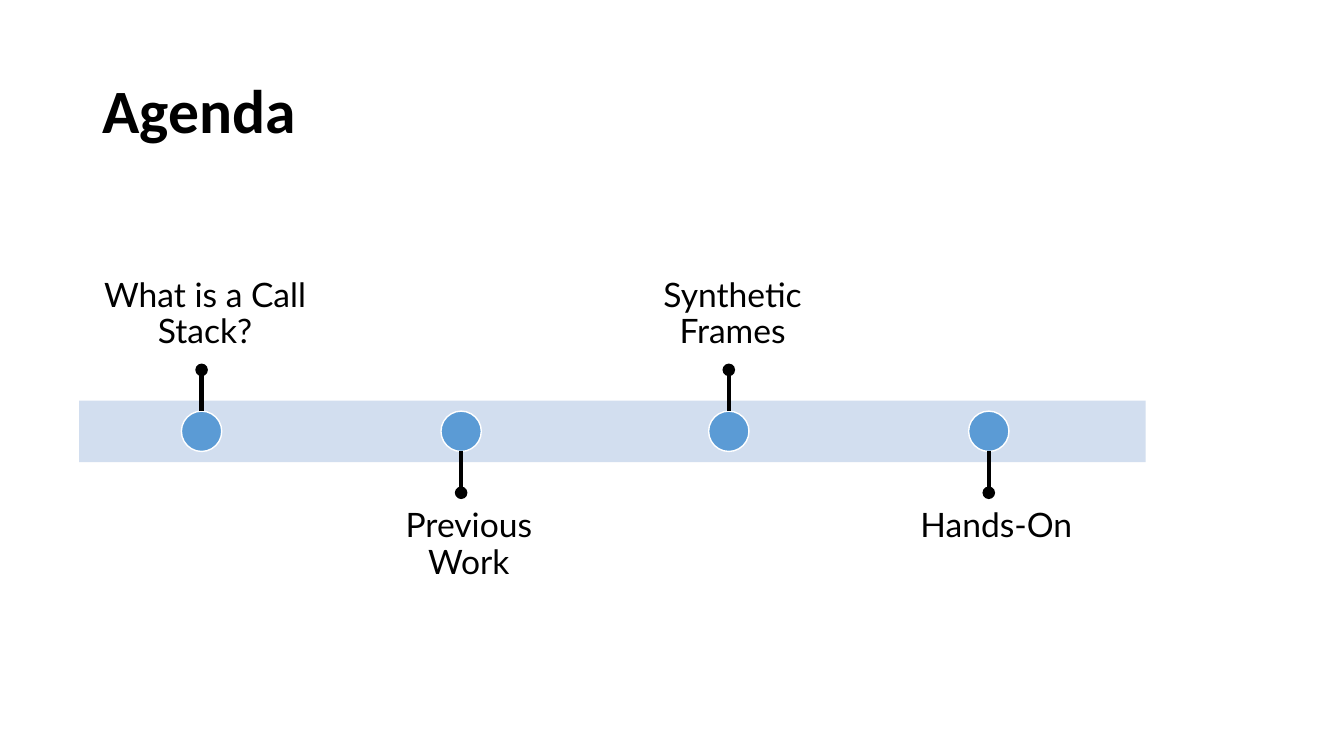
from dataclasses import dataclass

from lxml.etree import SubElement
from pptx import Presentation
from pptx.dml.color import RGBColor
from pptx.enum.shapes import MSO_CONNECTOR, MSO_SHAPE
from pptx.enum.text import MSO_ANCHOR, PP_ALIGN
from pptx.oxml.ns import qn
from pptx.slide import Slide
from pptx.util import Pt

BLACK, WHITE, BAND_BLUE, DOT_BLUE = "000000", "FFFFFF", "D2DEEF", "5B9BD5"
DOT_SIZE = 28.8
AXIS_Y = 308.1
STEM_LENGTH = 29.5
LABEL_LEFT, LABEL_PITCH = 56.9, 188.4
LABEL_WIDTH, LABEL_HEIGHT = 179.2, 170.7
LABEL_INSET = 13.5
LABEL_GAP = 43.8  # from the axis to the nearest edge of a label


@dataclass
class Milestone:
    text: str
    center: float
    above: bool


MILESTONES = [
    Milestone("What is a Call Stack?", 144, True),
    Milestone("Previous Work", 329.4, False),
    Milestone("Synthetic Frames", 520.6, True),
    Milestone("Hands-On", 706.3, False),
]


def color(value: str) -> RGBColor:
    return RGBColor.from_string(value)


def add_title(page: Slide, text: str) -> None:
    title = page.shapes.title
    title.left, title.top, title.width, title.height = Pt(66), Pt(28.8), Pt(828), Pt(104.4)
    title.text_frame.vertical_anchor = MSO_ANCHOR.MIDDLE
    para = title.text_frame.paragraphs[0]
    para.text = text
    para.alignment = PP_ALIGN.LEFT
    para.line_spacing = 0.9
    para.font.name, para.font.size, para.font.bold = "Calibri", Pt(44), True
    para.font.color.rgb = color(BLACK)


def add_band(page: Slide) -> None:
    height = 43.9
    band = page.shapes.add_shape(
        MSO_SHAPE.RECTANGLE, Pt(56.5), Pt(AXIS_Y - height / 2), Pt(761.8), Pt(height))
    band.shadow.inherit = False
    band.fill.solid()
    band.fill.fore_color.rgb = color(BAND_BLUE)
    band.line.fill.background()


def add_label(page: Slide, milestone: Milestone, left: float) -> None:
    top = AXIS_Y - LABEL_GAP - LABEL_HEIGHT if milestone.above else AXIS_Y + LABEL_GAP - 2
    box = page.shapes.add_textbox(Pt(left), Pt(top), Pt(LABEL_WIDTH), Pt(LABEL_HEIGHT))
    frame = box.text_frame
    frame.word_wrap = True
    frame.vertical_anchor = MSO_ANCHOR.BOTTOM if milestone.above else MSO_ANCHOR.TOP
    frame.margin_left = frame.margin_right = Pt(LABEL_INSET)
    frame.margin_top = frame.margin_bottom = Pt(LABEL_INSET)
    para = frame.paragraphs[0]
    para.text = milestone.text
    para.alignment = PP_ALIGN.CENTER
    para.line_spacing = 0.9
    para.font.name, para.font.size = "Lato", Pt(24)
    para.font.color.rgb = color(BLACK)


def add_dot(page: Slide, milestone: Milestone) -> None:
    dot = page.shapes.add_shape(
        MSO_SHAPE.OVAL, Pt(milestone.center - DOT_SIZE / 2), Pt(AXIS_Y - DOT_SIZE / 2),
        Pt(DOT_SIZE), Pt(DOT_SIZE))
    dot.shadow.inherit = False
    dot.fill.solid()
    dot.fill.fore_color.rgb = color(DOT_BLUE)
    dot.line.color.rgb = color(WHITE)
    dot.line.width = Pt(1)


def add_stem(page: Slide, milestone: Milestone) -> None:
    direction = -1 if milestone.above else 1
    start = AXIS_Y + direction * DOT_SIZE / 2
    stem = page.shapes.add_connector(
        MSO_CONNECTOR.STRAIGHT, Pt(milestone.center), Pt(start),
        Pt(milestone.center), Pt(start + direction * STEM_LENGTH))
    stem.line.color.rgb = color(BLACK)
    stem.line.width = Pt(3)
    SubElement(stem.line._get_or_add_ln(), qn("a:tailEnd"), type="oval")
    SubElement(stem._element.spPr, qn("a:effectLst"))


def main() -> None:
    deck = Presentation()
    deck.slide_width, deck.slide_height = Pt(960), Pt(540)
    page = deck.slides.add_slide(deck.slide_layouts[5])
    add_title(page, "Agenda")

    # Timeline band with its labels and dots
    add_band(page)
    for index, milestone in enumerate(MILESTONES):
        add_label(page, milestone, LABEL_LEFT + index * LABEL_PITCH)
        add_dot(page, milestone)

    # Stems from the dots to the labels
    for milestone in MILESTONES:
        add_stem(page, milestone)

    deck.save("out.pptx")


if __name__ == "__main__":
    main()
